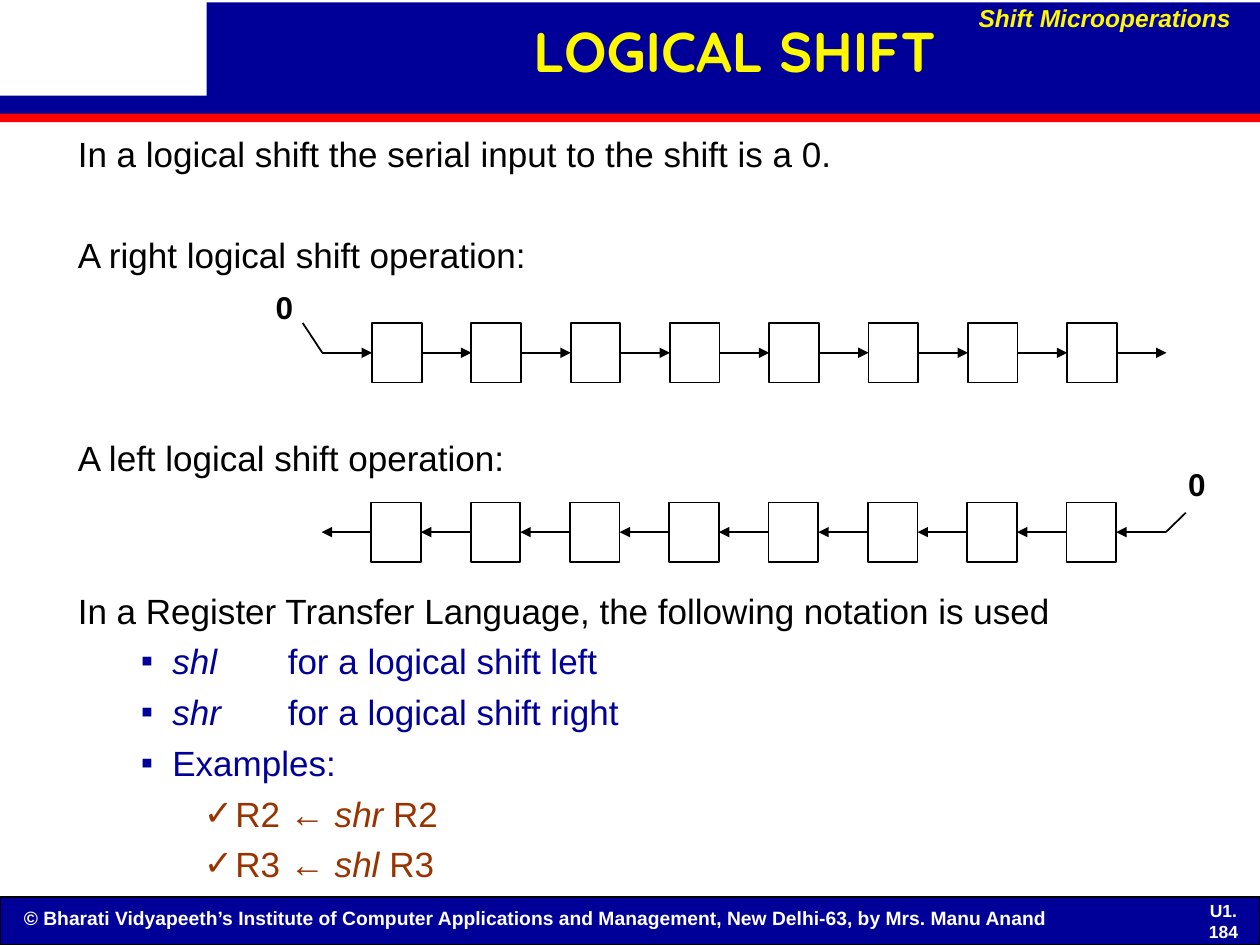
from dataclasses import dataclass

from lxml import etree
from pptx import Presentation
from pptx import util as u
from pptx.dml.color import RGBColor
from pptx.enum import shapes, text
from pptx.oxml import ns

Pt = u.Pt


@dataclass(frozen=True)
class Theme:
    navy: str = "000099"
    red: str = "FF0000"
    yellow: str = "FEF800"
    brown: str = "993300"
    black: str = "000000"
    white: str = "FFFFFF"
    body_font: str = "Arial"
    title_font: str = "Quicksand"
    title: int = 32
    body: int = 20
    digit: int = 18
    topic: int = 14
    footer: int = 11
    page: int = 10


THEME = Theme()
CELLS = 8
PITCH = 56.75
CELL_WIDTH = PITCH / 2
CELL_HEIGHT = 34


def apply(target, values):
    for name, value in values.items():
        setattr(target, name, value)


def style(font, color, **values):
    apply(font, {"name": THEME.body_font, **values})
    font.color.rgb = RGBColor.from_string(color)


def add_child(parent, tag, **attributes):
    return etree.SubElement(parent, ns.qn(tag), attributes)


def add_box(slide, left, top, width, height, fill=None, line=None, weight=1):
    box = slide.shapes.add_shape(
        shapes.MSO_SHAPE.RECTANGLE, Pt(left), Pt(top), Pt(width), Pt(height))
    box.shadow.inherit = False
    if fill:
        box.fill.solid()
        box.fill.fore_color.rgb = RGBColor.from_string(fill)
    else:
        box.fill.background()
    if line:
        box.line.color.rgb = RGBColor.from_string(line)
        box.line.width = Pt(weight)
    else:
        box.line.fill.background()


def add_line(slide, start, end, arrow=False):
    wire = slide.shapes.add_connector(
        shapes.MSO_CONNECTOR.STRAIGHT, *(Pt(v) for v in (*start, *end)))
    wire.line.color.rgb = RGBColor.from_string(THEME.black)
    wire.line.width = Pt(1)
    if arrow:
        add_child(wire.line._get_or_add_ln(), "a:tailEnd", type="triangle")
    add_child(wire._element.spPr, "a:effectLst")


def add_label(slide, words, place, color, size, frame=None, paragraph=None, **font):
    label = slide.shapes.add_textbox(*(Pt(v) for v in place)).text_frame
    apply(label, {"word_wrap": True, **(frame or {})})
    line = label.paragraphs[0]
    line.text = words
    apply(line, paragraph or {})
    style(line.runs[0].font, color, size=Pt(size), bold=True, **font)


def add_title(slide):
    title = slide.shapes.title
    slide.shapes._spTree.append(title._element)
    apply(title, {"left": Pt(117.4), "top": Pt(0), "width": Pt(604.8), "height": Pt(57.6)})
    apply(title.text_frame, {
        "text": "LOGICAL SHIFT", "word_wrap": True,
        "vertical_anchor": text.MSO_ANCHOR.MIDDLE,
        "margin_left": Pt(5), "margin_right": Pt(5),
        "margin_top": Pt(2.2), "margin_bottom": Pt(2.2)})
    heading = title.text_frame.paragraphs[0]
    heading.alignment = text.PP_ALIGN.CENTER
    style(heading.runs[0].font, THEME.yellow, name=THEME.title_font,
          size=Pt(THEME.title), bold=True)


def add_point(paragraph, parts, level, before):
    color, bullet, margin, indent = (
        (THEME.black, None, 22.5, -22.5),
        (THEME.navy, "▪", 54, -18),
        (THEME.brown, "✓", 90, -18))[level]
    properties = paragraph._p.get_or_add_pPr()
    apply(paragraph, {"level": level, "space_before": Pt(before)})
    properties.set("marL", str(Pt(margin)))
    properties.set("indent", str(Pt(indent)))
    if bullet:
        add_child(add_child(properties, "a:buClr"), "a:srgbClr", val=color)
        add_child(properties, "a:buFont", typeface=THEME.body_font)
        add_child(properties, "a:buChar", char=bullet)
    else:
        add_child(properties, "a:buNone")
    if level == 1:
        add_child(add_child(properties, "a:tabLst"), "a:tab", pos=str(Pt(120)), algn="l")
    for words, italic in parts:
        run = paragraph.add_run()
        run.text = words
        style(run.font, color, size=Pt(THEME.body), italic=italic)


def add_body(slide, points):
    body = slide.shapes.add_textbox(Pt(37.4), Pt(72), Pt(646), Pt(447)).text_frame
    body.word_wrap = True
    for index, point in enumerate(points):
        add_point(body.add_paragraph() if index else body.paragraphs[0], *point)


def add_register(slide, left, top, to_right):
    middle = top + CELL_HEIGHT / 2
    for index in range(CELLS):
        add_box(slide, left + index * PITCH, top, CELL_WIDTH, CELL_HEIGHT, line=THEME.black)
    for index in range(CELLS + 1):
        cell_edge = left + index * PITCH
        ends = [(cell_edge - CELL_WIDTH, middle), (cell_edge, middle)]
        add_line(slide, *(ends if to_right else reversed(ends)), arrow=True)


def add_serial_input(slide, entry, source, digit_left, digit_top):
    add_line(slide, entry, source)
    add_label(slide, "0", (digit_left, digit_top, 24.5, 26.6), THEME.black, THEME.digit,
              {"word_wrap": False, "auto_size": text.MSO_AUTO_SIZE.SHAPE_TO_FIT_TEXT},
              {"line_spacing": 0.9})


def add_bands(slide):
    add_box(slide, 0, 512.6, 720, 27.4, THEME.navy, THEME.black, 0.75)
    add_box(slide, 0, 54.7, 720, 11.5, THEME.navy)
    add_box(slide, 0, 65, 720, 4.8, THEME.red)
    add_box(slide, 118, 1.4, 602, 57.6, THEME.navy)


def main():
    deck = Presentation()
    apply(deck, {"slide_width": Pt(720), "slide_height": Pt(540)})
    slide = deck.slides.add_slide(deck.slide_layouts[5])

    add_bands(slide)
    add_label(slide, "© Bharati Vidyapeeth’s Institute of Computer Applications and "
              "Management, New Delhi-63, by Mrs. Manu Anand",
              (6.5, 514.3, 661, 21), THEME.white, THEME.footer)
    add_label(slide, "U1. 184", (680.4, 517.7, 37.4, 17.3), THEME.white, THEME.page,
              {"vertical_anchor": text.MSO_ANCHOR.MIDDLE},
              {"alignment": text.PP_ALIGN.CENTER})
    add_title(slide)
    add_label(slide, "Shift Microoperations", (548.6, 0, 162, 22.3),
              THEME.yellow, THEME.topic,
              {"word_wrap": False, "auto_size": text.MSO_AUTO_SIZE.SHAPE_TO_FIT_TEXT},
              {"alignment": text.PP_ALIGN.RIGHT, "line_spacing": 0.9}, italic=True)

    add_body(slide, [
        ([("In a logical shift the serial input to the shift is a 0.", False)], 0, 0),
        ([("A right logical shift operation:", False)], 0, 34),
        ([("A left logical shift operation:", False)], 0, 92),
        ([("In a Register Transfer Language, the following notation is used", False)], 0, 63),
        ([("shl\t", True), ("for a logical shift left", False)], 1, 5),
        ([("shr\t", True), ("for a logical shift right", False)], 1, 5),
        ([("Examples:", False)], 1, 5),
        ([("R2 ← ", False), ("shr", True), (" R2", False)], 2, 5),
        ([("R3 ← ", False), ("shl", True), (" R3", False)], 2, 5),
    ])

    add_register(slide, 212.6, 184.6, to_right=True)
    add_serial_input(slide, (184.2, 201.6), (173, 184.6), 150.4, 163.4)
    add_register(slide, 212.2, 287.1, to_right=False)
    add_serial_input(slide, (666.2, 304.1), (677.6, 293), 671.8, 264.5)

    deck.save("out.pptx")


if __name__ == "__main__":
    main()
